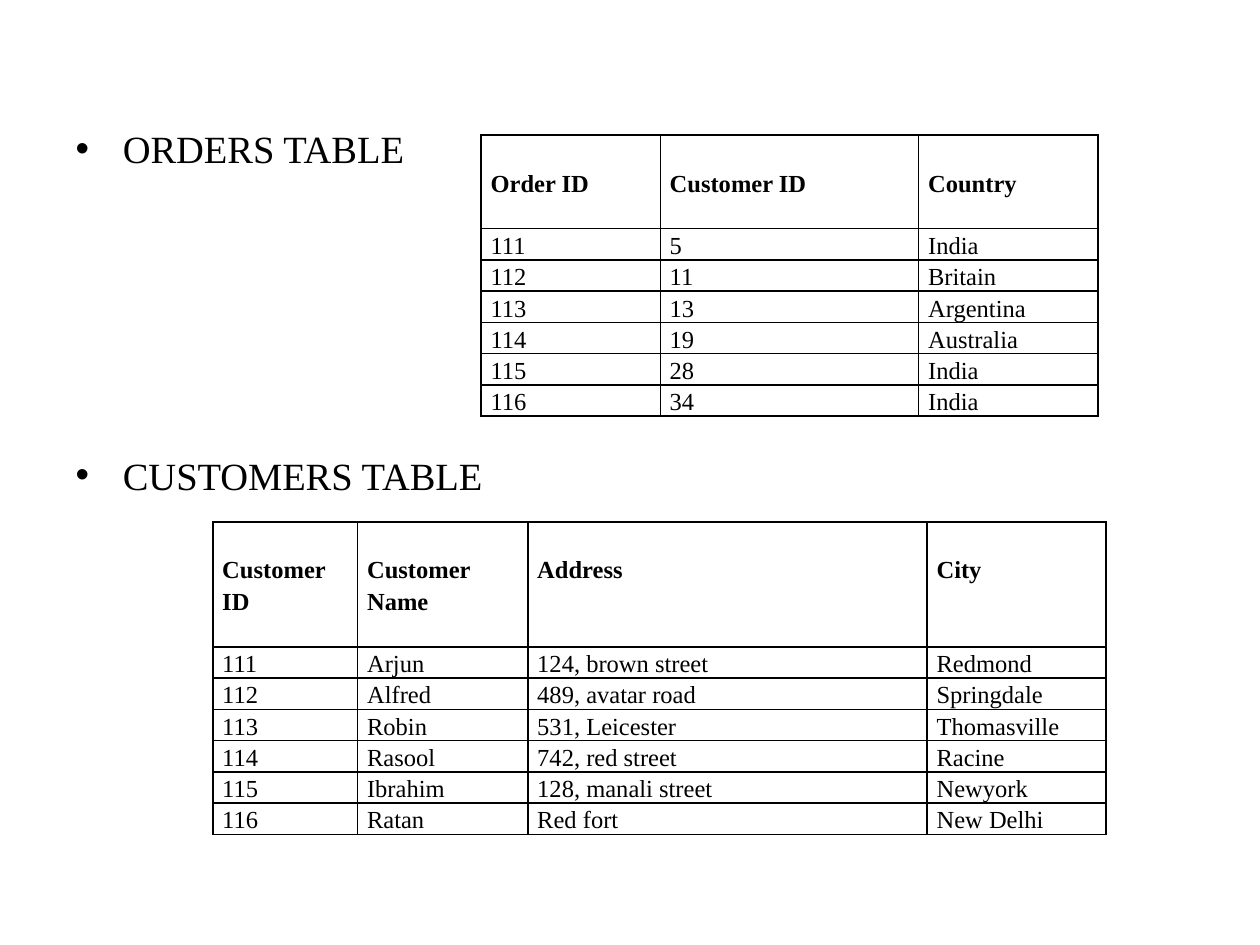
"""Build a slide with the orders and customers tables."""
from lxml import etree
from pptx import Presentation
from pptx import util as u
from pptx.dml.color import RGBColor
from pptx.enum import text
from pptx.oxml import ns

FONT = "Times New Roman"
BLACK = "000000"
LINE_HEIGHT = 0.63

ORDERS = [
    ("Order ID", "Customer ID", "Country"),
    ("111", "5", "India"),
    ("112", "11", "Britain"),
    ("113", "13", "Argentina"),
    ("114", "19", "Australia"),
    ("115", "28", "India"),
    ("116", "34", "India"),
]
CUSTOMERS = [
    ("Customer ID", "Customer Name", "Address", "City"),
    ("111", "Arjun", "124, brown street", "Redmond"),
    ("112", "Alfred", "489, avatar road", "Springdale"),
    ("113", "Robin", "531, Leicester", "Thomasville"),
    ("114", "Rasool", "742, red street", "Racine"),
    ("115", "Ibrahim", "128, manali street", "Newyork"),
    ("116", "Ratan", "Red fort", "New Delhi"),
]


def colour(value):
    """Turn a hex string into a colour."""
    return RGBColor.from_string(value)


def write(para, words, size=14, bold=False, before=0, spacing=None):
    """Put formatted words into a paragraph."""
    para.space_before = u.Pt(before)
    if spacing:
        para.line_spacing = spacing
    span = para.add_run()
    span.text = words
    span.font.name = FONT
    span.font.size = u.Pt(size)
    span.font.bold = bold
    span.font.color.rgb = colour(BLACK)


def add_borders(cell, width=1):
    """Draw a black line on each side of a cell."""
    properties = cell._tc.get_or_add_tcPr()
    for position, side in enumerate(("lnL", "lnR", "lnT", "lnB")):
        line = etree.Element(ns.qn(f"a:{side}"), w=str(u.Pt(width)))
        fill = etree.SubElement(line, ns.qn("a:solidFill"))
        etree.SubElement(fill, ns.qn("a:srgbClr"), val=BLACK)
        properties.insert(position, line)


def fill_cell(cell, words, header):
    """Format one cell and write its words."""
    cell.margin_left = cell.margin_right = u.Cm(0.19)
    cell.margin_top = u.Cm(LINE_HEIGHT if header else 0)
    cell.margin_bottom = 0
    cell.vertical_anchor = text.MSO_ANCHOR.TOP
    cell.fill.background()
    add_borders(cell)
    write(cell.text_frame.paragraphs[0], words, bold=header, spacing=1.15)


def add_grid(page, records, left, top, widths, header_lines):
    """Add a table whose header is several text lines high."""
    heights = [header_lines * LINE_HEIGHT] + [LINE_HEIGHT] * (len(records) - 1)
    frame = page.shapes.add_table(
        len(records), len(widths), u.Cm(left), u.Cm(top),
        u.Cm(sum(widths)), u.Cm(sum(heights)))
    table = frame.table
    table.first_row = table.horz_banding = False
    for column, width in zip(table.columns, widths):
        column.width = u.Cm(width)
    for index, (row, record) in enumerate(zip(table.rows, records)):
        row.height = u.Cm(heights[index])
        for cell, words in zip(row.cells, record):
            fill_cell(cell, words, header=index == 0)


def add_headings(page):
    """Write the two bulleted headings in the body placeholder."""
    box = page.placeholders[1]
    box.left, box.top = u.Cm(1.27), u.Cm(2.4)
    box.width, box.height = u.Cm(22.86), u.Cm(14.6)
    frame = box.text_frame
    frame.auto_size = text.MSO_AUTO_SIZE.NONE
    write(frame.paragraphs[0], "ORDERS TABLE", size=22)
    write(frame.add_paragraph(), "CUSTOMERS TABLE", size=22, before=160)


def main():
    """Build and save the deck."""
    deck = Presentation()
    deck.slide_width, deck.slide_height = u.Cm(25.4), u.Cm(19.05)
    page = deck.slides.add_slide(deck.slide_layouts[1])
    title = page.shapes.title.element
    title.getparent().remove(title)
    add_headings(page)
    add_grid(page, ORDERS, 9.7, 2.72, (3.61, 5.21, 3.61), header_lines=3)
    add_grid(page, CUSTOMERS, 4.29, 10.52, (2.92, 3.43, 8.05, 3.61), header_lines=4)
    deck.save("out.pptx")


if __name__ == "__main__":
    main()
